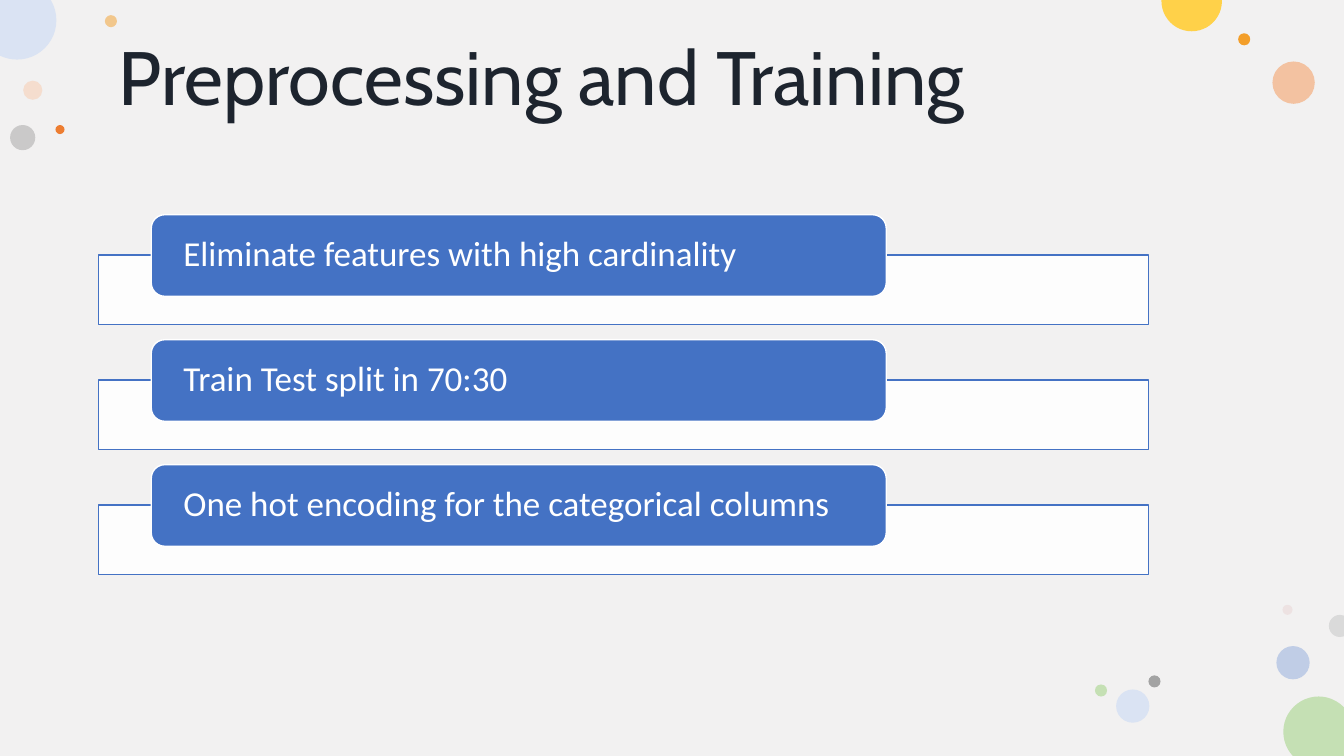
from itertools import pairwise
from math import cos, radians, sin

from lxml import etree
from pptx import Presentation
from pptx.dml.color import RGBColor
from pptx.enum.shapes import MSO_SHAPE as Shape
from pptx.enum.text import MSO_ANCHOR as Anchor, PP_ALIGN as Align
from pptx.oxml.ns import qn
from pptx.util import Inches, Pt

WIDTH, HEIGHT = 13.33, 7.5
COLORS = {
    "background": "F2F1F1", "white": "FFFFFF", "title": "1D242E",
    "blue": "4472C4", "sky": "8FAADC", "pale blue": "DAE3F3",
    "peach": "F8CBAD", "salmon": "F4B183", "orange": "F39E29",
    "rust": "ED7D31", "yellow": "FFD149", "rose": "E3BEBE",
    "gray": "A3A3A3", "light gray": "DADADA", "green": "C5E0B4",
}
TITLE = "Preprocessing and Training"
STEPS = [
    "Eliminate features with high cardinality",
    "Train Test split in 70:30",
    "One hot encoding for the categorical columns",
]
# Whole dots: left, top, diameter, color, opacity in percent
DOTS = [
    (0.23, 0.8, 0.19, "peach", 50),
    (1.04, 0.15, 0.12, "orange", 50),
    (12.66, 6.41, 0.33, "sky", 50),
    (0.1, 1.24, 0.25, "gray", 50),
    (12.62, 0.61, 0.42, "salmon", 72),
    (12.28, 0.33, 0.12, "orange", 100),
    (12.72, 6, 0.1, "rose", 28),
    (11.39, 6.7, 0.12, "gray", 100),
    (11.07, 6.84, 0.33, "pale blue", 100),
    (10.86, 6.79, 0.12, "green", 100),
    (0.55, 1.24, 0.09, "rust", 100),
]
# Dots cut by the slide edge: center, radius, color, arc angles, slide corner inside
EDGE_DOTS = [
    (13.08, 7.26, 0.35, "green", [316, 270, 180, 137], [(WIDTH, HEIGHT)]),
    (0.17, 0.2, 0.39, "pale blue", [-31, 0, 90, 116], [(0, 0)]),
    (11.82, 0.01, 0.3, "yellow", [-2, 0, 90, 180, 182], []),
    (13.29, 6.21, 0.11, "light gray", [291, 270, 180, 90, 69], []),
]
STEP_TOP, STEP_PITCH, BAR_DROP = 2.13, 1.24, 0.4
UNITS = 10000  # outline units per inch


def paint(shape, color, opacity=100, line=None):
    shape.shadow.inherit = False
    shape.fill.solid()
    shape.fill.fore_color.rgb = RGBColor.from_string(COLORS[color])
    if opacity < 100:
        tint = shape.fill._xPr.find(qn("a:solidFill"))[0]
        etree.SubElement(tint, qn("a:alpha")).set("val", str(opacity * 1000))
    if line:
        shape.line.color.rgb = RGBColor.from_string(COLORS[line])
        shape.line.width = Pt(1)
    else:
        shape.line.fill.background()


def add_shape(kind, left, top, width, height, *style):
    shape = page.shapes.add_shape(
        kind, Inches(left), Inches(top), Inches(width), Inches(height))
    paint(shape, *style)
    return shape


def add_edge_dot(x, y, radius, color, angles, corners):
    rim = [(min(max(x + radius * cos(radians(angle)), 0), WIDTH),
            min(max(y + radius * sin(radians(angle)), 0), HEIGHT))
           for angle in angles]
    points = [(left * UNITS, top * UNITS) for left, top in rim + corners]
    builder = page.shapes.build_freeform(*points[0], scale=Inches(1) / UNITS)
    builder.add_line_segments(points[1:])
    dot = builder.convert_to_shape()
    # Round the sides that follow the rim
    sides = list(dot._element.iter(qn("a:lnTo")))
    size = str(round(radius * UNITS))
    for side, (start, end) in zip(sides, pairwise(angles)):
        arc = etree.Element(qn("a:arcTo"), {
            "wR": size, "hR": size,
            "stAng": str(start % 360 * 60000), "swAng": str((end - start) * 60000)})
        side.getparent().replace(side, arc)
    paint(dot, color)


def write(shape, text, font, size, color, left_inset, right_inset):
    frame = shape.text_frame
    frame.word_wrap = True
    frame.vertical_anchor = Anchor.MIDDLE
    frame.margin_left, frame.margin_right = Inches(left_inset), Inches(right_inset)
    frame.margin_top = frame.margin_bottom = 0
    para = frame.paragraphs[0]
    para.text = text
    para.alignment = Align.LEFT
    para.line_spacing = 0.9
    para.font.name = font
    para.font.size = Pt(size)
    para.font.color.rgb = RGBColor.from_string(COLORS[color])


deck = Presentation()
deck.slide_width, deck.slide_height = Inches(WIDTH), Inches(HEIGHT)
page = deck.slides.add_slide(deck.slide_layouts[6])

# Backdrop and scattered dots
add_shape(Shape.RECTANGLE, 0, 0, WIDTH, HEIGHT, "background")
for left, top, size, color, opacity in DOTS:
    add_shape(Shape.OVAL, left, top, size, size, color, opacity)
for edge_dot in EDGE_DOTS:
    add_edge_dot(*edge_dot)

# Title
title = page.shapes.add_textbox(Inches(0.08), Inches(0.08), Inches(11.66), Inches(1.45))
write(title, TITLE, "Cabin", 54, "title", 1.1, 0.1)

# Steps: a wide bar behind each rounded label
for index, step in enumerate(STEPS):
    top = STEP_TOP + index * STEP_PITCH
    add_shape(Shape.RECTANGLE, 0.98, top + BAR_DROP, 10.41, 0.69, "white", 90, "blue")
    label = add_shape(Shape.ROUNDED_RECTANGLE, 1.5, top, 7.29, 0.81, "blue", 100, "white")
    write(label, step, "Calibri", 25, "white", 0.28, 0.28)

deck.save("out.pptx")
